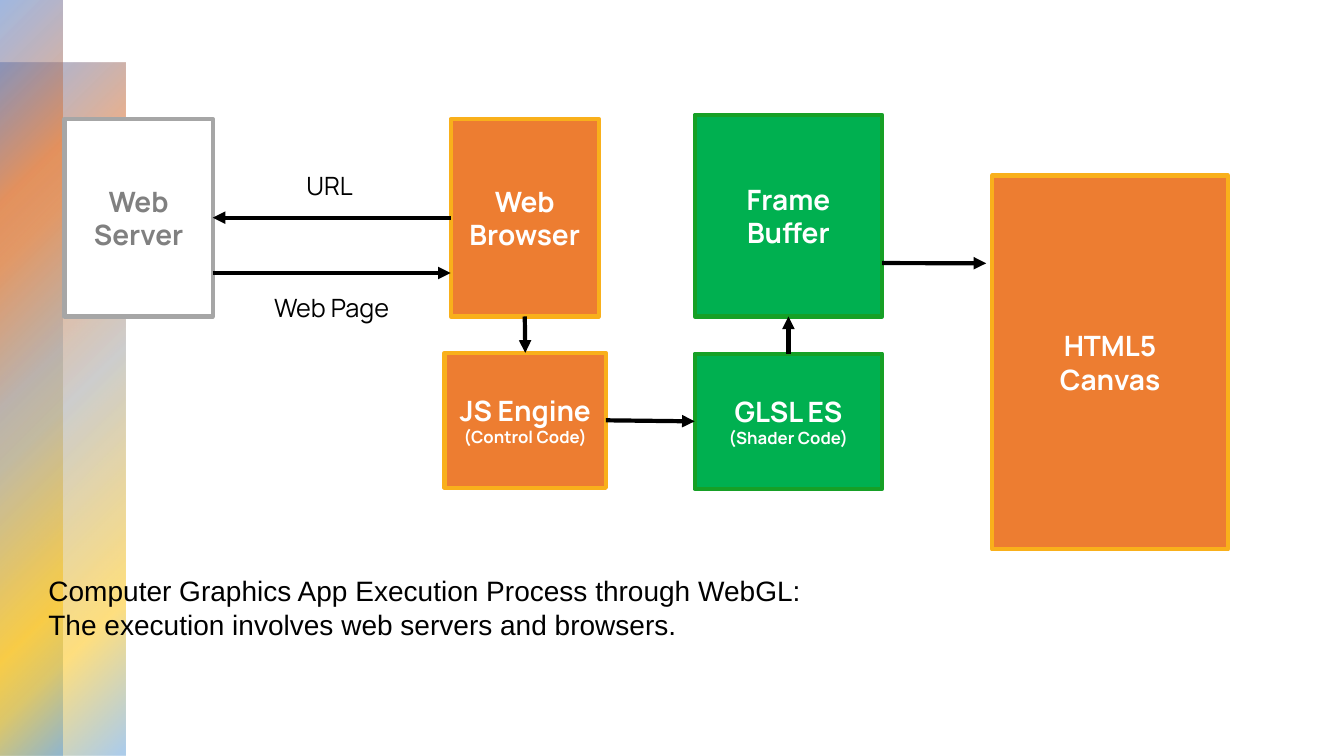
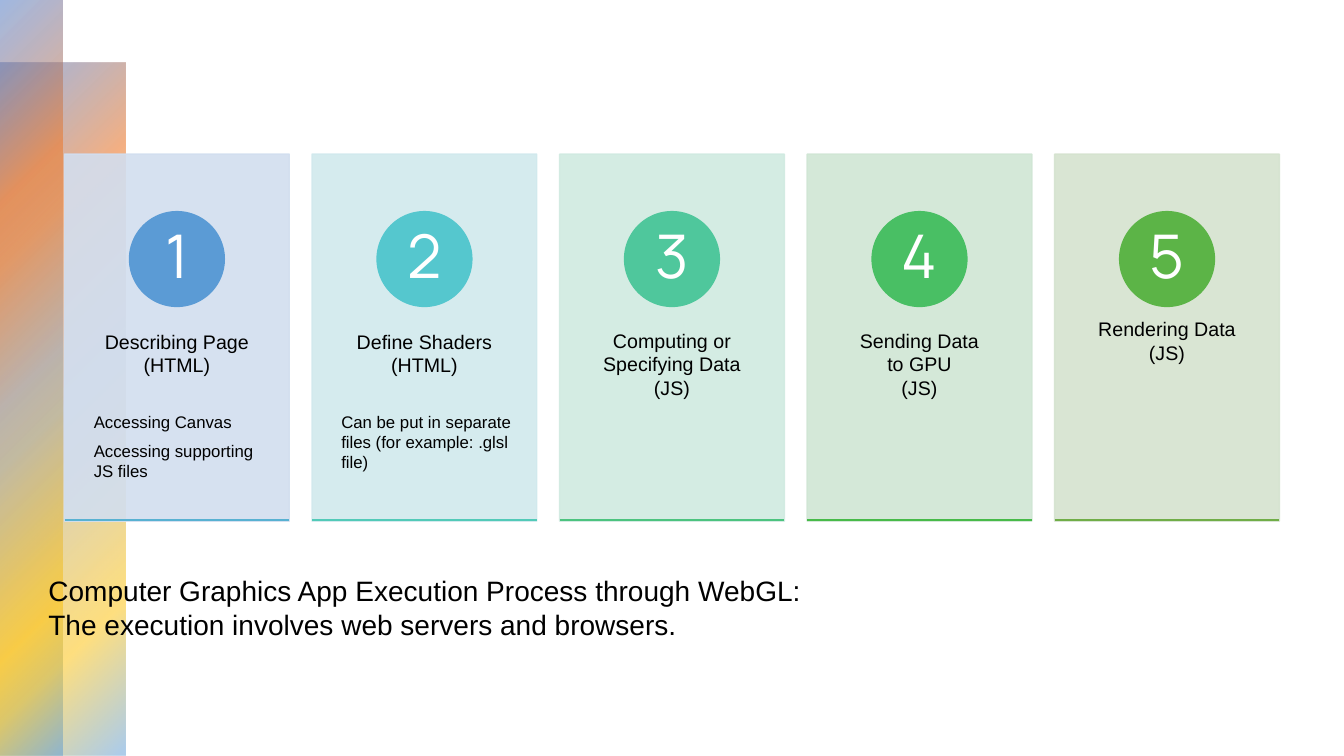
"""Builds two slides on how a WebGL app runs: a flow diagram and five step cards."""
from lxml import etree
from pptx import Presentation, util as u
from pptx.dml.color import RGBColor
from pptx.enum import shapes, text
from pptx.oxml import ns

WIDTH, HEIGHT = 13.33, 7.5
BODY_FONT, DIAGRAM_FONT = "Arial", "Manrope"

BLACK = RGBColor(0x00, 0x00, 0x00)
WHITE = RGBColor(0xFF, 0xFF, 0xFF)
GRAY = RGBColor(0x80, 0x80, 0x80)
SILVER = RGBColor(0xA6, 0xA6, 0xA6)
ORANGE = RGBColor(0xED, 0x7D, 0x31)
AMBER = RGBColor(0xF9, 0xB0, 0x1B)
GREEN = RGBColor(0x00, 0xB0, 0x50)
DARK_GREEN = RGBColor(0x16, 0xA0, 0x26)

CAPTION = ["Computer Graphics App Execution Process through WebGL:",
           "The execution involves web servers and browsers."]
CAPTION_BOX = (0.38, 5.64, 9.81, 0.9)
BANDS = [(0, 0.62, 1.24, HEIGHT - 0.62), (0, 0, 0.62, HEIGHT)]
BAND_STOPS = [(0, "4472C4", 50), (25, "ED7D31", 60), (50, "A5A5A5", 55),
              (81, "FFC000", 50), (99, "5B9BD5", 50)]

PLAIN_STYLE = (WHITE, SILVER, GRAY)
ORANGE_STYLE = (ORANGE, AMBER, WHITE)
GREEN_STYLE = (GREEN, DARK_GREEN, WHITE)
BOXES = {
    "canvas": ((9.84, 1.74, 2.34, 3.71), ORANGE_STYLE, [("HTML5", 20), ("Canvas", 20)]),
    "frame": ((6.89, 1.14, 1.86, 2), GREEN_STYLE, [("Frame", 20), ("Buffer", 20)]),
    "server": ((0.64, 1.18, 1.47, 1.96), PLAIN_STYLE, [("Web", 20), ("Server", 20)]),
    "browser": ((4.47, 1.18, 1.47, 1.96), ORANGE_STYLE, [("Web", 20), ("Browser", 20)]),
    "engine": ((4.41, 3.5, 1.6, 1.34), ORANGE_STYLE,
               [("JS Engine", 20), ("(Control Code)", 12)]),
    "shader": ((6.89, 3.51, 1.86, 1.34), GREEN_STYLE,
               [("GLSL ES", 20), ("(Shader Code)", 12)]),
}
TOP, LEFT, BOTTOM, RIGHT = (0.5, 0), (0, 0.5), (0.5, 1), (1, 0.5)
SITES = [TOP, LEFT, BOTTOM, RIGHT]
ARROWS = [
    ("server", (1, 0.78), "browser", (0, 0.78)),
    ("browser", LEFT, "server", RIGHT),
    ("engine", RIGHT, "shader", LEFT),
    ("frame", (1, 0.735), "canvas", (-0.025, 0.235)),
    ("browser", BOTTOM, "engine", TOP),
    ("shader", TOP, "frame", BOTTOM),
]
LABELS = [("URL", (2.94, 1.64, 0.71, 0.4)), ("Web Page", (2.62, 2.85, 1.44, 0.4))]

STEPS = [
    (["Describing Page", "(HTML)"], ["Accessing Canvas", "Accessing supporting JS files"],
     "D2DEEF", "5B9BD5", "58B1D2"),
    (["Define Shaders", "(HTML)"], ["Can be put in separate files (for example: .glsl file)"],
     "D1E9ED", "55C7CE", "52CAB8"),
    (["Computing or Specifying Data", "(JS)"], [], "D0EAE1", "4FC79C", "4CC37F"),
    (["Sending Data", "to GPU", "(JS)"], [], "D0E6D4", "49BF64", "47BA49"),
    (["Rendering Data", "(JS)"], [], "D5E3CF", "5CB447", "70AD47"),
]
CARDS_LEFT, CARDS_RIGHT, CARD_TOP = 0.64, 12.69, 1.53
CARD_WIDTH, CARD_HEIGHT = 2.23, 3.64
CARD_STEP = (CARDS_RIGHT - CARDS_LEFT - CARD_WIDTH) / (len(STEPS) - 1)
CIRCLE_TOP, CIRCLE_SIZE = 2.1, 0.94
CARD_TEXT_TOP, CARD_TEXT_HEIGHT = 2.91, 2.19


def inches(lengths):
    return [u.Inches(length) for length in lengths]


def add_text(paragraph, words, size, color, font=BODY_FONT, bold=False,
             align=text.PP_ALIGN.LEFT, before=0, after=0):
    paragraph.alignment = align
    paragraph.space_before, paragraph.space_after = u.Pt(before), u.Pt(after)
    run = paragraph.add_run()
    run.text = words
    run.font.name, run.font.size, run.font.bold = font, u.Pt(size), bold
    run.font.color.rgb = color


def next_paragraph(frame):
    first = frame.paragraphs[0]
    return frame.add_paragraph() if first.runs else first


def add_block(slide, kind, box, fill, line, width):
    shape = slide.shapes.add_shape(kind, *inches(box))
    shape.shadow.inherit = False
    shape.fill.solid()
    shape.fill.fore_color.rgb = fill
    shape.line.color.rgb = line
    shape.line.width = u.Pt(width)
    shape.text_frame.vertical_anchor = text.MSO_ANCHOR.MIDDLE
    return shape


def add_line(slide, start, end, color, width):
    line = slide.shapes.add_connector(shapes.MSO_CONNECTOR.STRAIGHT,
                                      *inches(start), *inches(end))
    line.line.color.rgb = color
    line.line.width = u.Pt(width)
    etree.SubElement(line.element.spPr, ns.qn("a:effectLst"))
    return line


def add_textbox(slide, box, wrap=True):
    frame = slide.shapes.add_textbox(*inches(box)).text_frame
    frame.word_wrap = wrap
    return frame


def set_alpha(color_element, percent):
    etree.SubElement(color_element, ns.qn("a:alpha")).set("val", str(percent * 1000))


def fill_gradient(shape, stops):
    shape.fill.gradient()
    shape.fill.gradient_angle = 315
    stop_list = shape.element.spPr.find(".//" + ns.qn("a:gsLst"))
    for stop in list(stop_list):
        stop_list.remove(stop)
    for position, color, opacity in stops:
        stop = etree.SubElement(stop_list, ns.qn("a:gs"), pos=str(position * 1000))
        set_alpha(etree.SubElement(stop, ns.qn("a:srgbClr"), val=color), opacity)


def add_bands(layout, slide):
    for index, box in enumerate(BANDS):
        band = add_block(slide, shapes.MSO_SHAPE.RECTANGLE, box, WHITE, WHITE, 1)
        band.line.fill.background()
        fill_gradient(band, BAND_STOPS)
        layout.shapes.element.insert(2 + index, band.element)


def add_caption(slide):
    title = slide.shapes.title
    title.left, title.top, title.width, title.height = inches(CAPTION_BOX)
    frame = title.text_frame
    frame.word_wrap = True
    frame.auto_size = text.MSO_AUTO_SIZE.NONE
    frame.vertical_anchor = text.MSO_ANCHOR.TOP
    for index, words in enumerate(CAPTION):
        add_text(next_paragraph(frame), words, 20, BLACK, before=0 if index else 6)


def point_on(name, share):
    left, top, width, height = BOXES[name][0]
    return left + share[0] * width, top + share[1] * height


def build_flow(slide):
    blocks = {}
    for name, (box, (fill, line, color), lines) in BOXES.items():
        block = add_block(slide, shapes.MSO_SHAPE.RECTANGLE, box, fill, line, 3)
        for words, size in lines:
            add_text(next_paragraph(block.text_frame), words, size, color, DIAGRAM_FONT,
                     True, text.PP_ALIGN.CENTER)
        blocks[name] = block
    for source, source_share, target, target_share in ARROWS:
        arrow = add_line(slide, point_on(source, source_share),
                         point_on(target, target_share), BLACK, 3)
        if source_share in SITES and target_share in SITES:
            arrow.begin_connect(blocks[source], SITES.index(source_share))
            arrow.end_connect(blocks[target], SITES.index(target_share))
        etree.SubElement(arrow.line._get_or_add_ln(), ns.qn("a:tailEnd"), type="triangle")
    for words, box in LABELS:
        frame = add_textbox(slide, box, wrap=False)
        add_text(frame.paragraphs[0], words, 18, BLACK, DIAGRAM_FONT)


def build_steps(slide):
    for index, (heading, notes, *colors) in enumerate(STEPS):
        tint, accent, rule = map(RGBColor.from_string, colors)
        left = CARDS_LEFT + index * CARD_STEP
        card = add_block(slide, shapes.MSO_SHAPE.RECTANGLE,
                         (left, CARD_TOP, CARD_WIDTH, CARD_HEIGHT), tint, tint, 1)
        for color in card.element.spPr.iter(ns.qn("a:srgbClr")):
            set_alpha(color, 90)

        frame = add_textbox(slide, (left, CARD_TEXT_TOP, CARD_WIDTH, CARD_TEXT_HEIGHT))
        frame.margin_left = frame.margin_right = u.Inches(0.17)
        frame.margin_top = frame.margin_bottom = u.Inches(0.36)
        for words in heading:
            add_text(next_paragraph(frame), words, 14, BLACK, align=text.PP_ALIGN.CENTER)
        for position, words in enumerate(notes):
            paragraph = next_paragraph(frame)
            add_text(paragraph, words, 12, BLACK, before=0 if position else 25, after=6)
            paragraph._p.get_or_add_pPr().set("marL", str(u.Inches(0.12)))

        circle = add_block(slide, shapes.MSO_SHAPE.OVAL,
                           (left + (CARD_WIDTH - CIRCLE_SIZE) / 2, CIRCLE_TOP,
                            CIRCLE_SIZE, CIRCLE_SIZE), accent, accent, 1)
        frame = circle.text_frame
        frame.word_wrap = False
        frame.margin_left = frame.margin_right = frame.margin_top = frame.margin_bottom = 0
        number = frame.paragraphs[0]
        number.line_spacing = 0.9
        add_text(number, str(index + 1), 43, WHITE, DIAGRAM_FONT,
                 align=text.PP_ALIGN.CENTER)
        bottom = CARD_TOP + CARD_HEIGHT - 0.01
        add_line(slide, (left, bottom), (left + CARD_WIDTH, bottom), rule, 1)


def main():
    presentation = Presentation()
    presentation.slide_width, presentation.slide_height = inches((WIDTH, HEIGHT))
    layout = presentation.slide_layouts.get_by_name("Title Only")
    for index, build in enumerate((build_flow, build_steps)):
        slide = presentation.slides.add_slide(layout)
        if index == 0:
            add_bands(layout, slide)
        add_caption(slide)
        build(slide)
    presentation.save("out.pptx")


if __name__ == "__main__":
    main()
